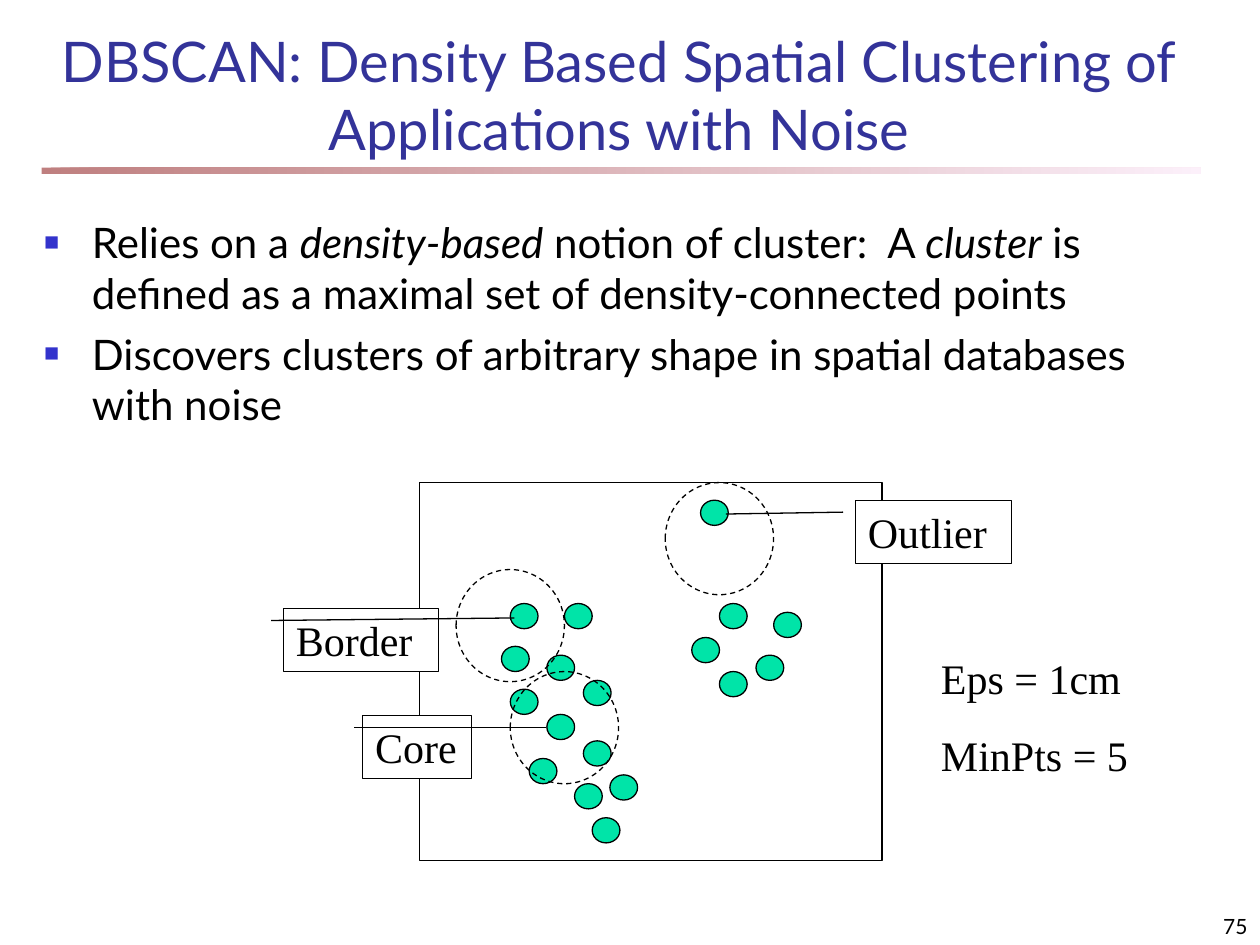
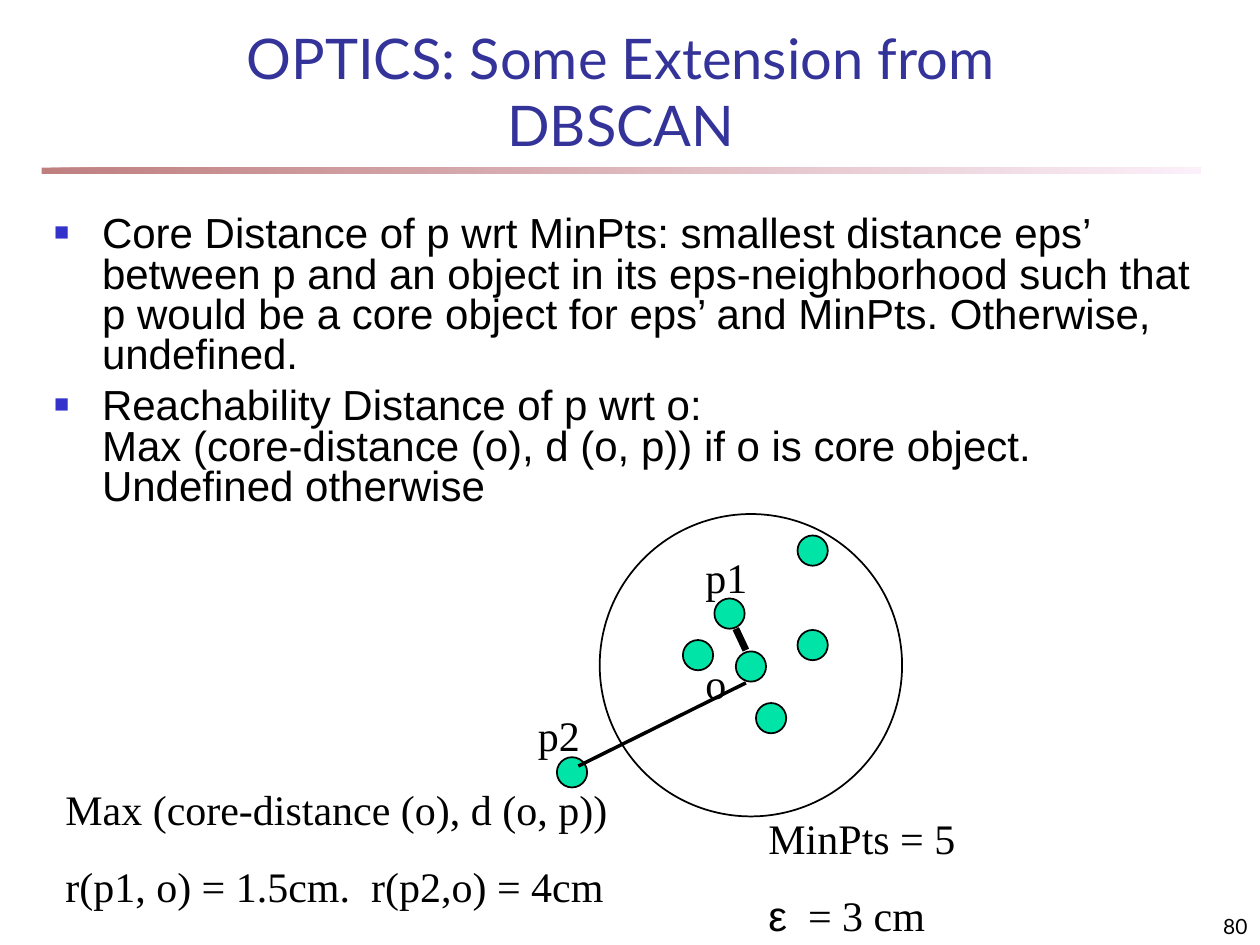
from typing import NamedTuple

from lxml import etree
from pptx import Presentation
from pptx.dml.color import RGBColor
from pptx.enum import dml, shapes, text
from pptx.oxml import ns
from pptx.util import Inches, Pt

BLACK, WHITE = "000000", "FFFFFF"
TITLE_BLUE, BULLET_BLUE = "333399", "3333CC"
POINT_GREEN = "00E4A8"
BAND_START, BAND_END = "800000", "FAE2F6"
LATO, ARIAL, TIMES = "Lato", "Arial", "Times New Roman"


class Box(NamedTuple):
    left: float
    top: float
    width: float
    height: float


class Run(NamedTuple):
    words: str
    italic: bool | None = None
    font: str | None = None


class Callout(NamedTuple):
    label: str
    box: Box
    end_y: float
    end_x: float


class Note(NamedTuple):
    box: Box
    lines: list[list[Run]]


class Segment(NamedTuple):
    start: tuple[float, float]
    end: tuple[float, float]
    width: float


def plain(*lines: str) -> list[list[Run]]:
    return [[Run(line)] for line in lines]


BAND = Box(0.33, 1.33, 9.2, 0.05)
PAGE_NUMBER = Box(7.92, 7.08, 2.08, 0.42)

DBSCAN_BULLETS = [
    [
        Run("Relies on a "),
        Run("density-based", italic=True),
        Run(" notion of cluster:  A "),
        Run("cluster", italic=True),
        Run(" is defined as a maximal set of density-connected points"),
    ],
    [Run("Discovers clusters of arbitrary shape in spatial databases with noise")],
]
DATA_SPACE = Box(3.33, 3.83, 3.67, 3)
LEFT_CLUSTER = [
    (4.05, 4.79), (3.98, 5.13), (4.34, 5.2), (4.48, 4.79), (4.63, 5.4), (4.05, 5.47),
    (4.34, 5.67), (4.2, 6.02), (4.56, 6.22), (4.7, 6.49), (4.63, 5.88), (4.84, 6.15),
]
RIGHT_CLUSTER = [(5.71, 4.79), (5.49, 5.06), (6, 5.2), (6.14, 4.86), (5.71, 5.33)]
OUTLIER = (5.56, 3.97)
NEIGHBORHOODS = [(3.62, 4.52), (4.05, 5.33), (5.28, 3.83)]
CALLOUTS = [
    Callout("Core", Box(2.88, 5.68, 0.86, 0.5), 0.19, 1.69),
    Callout("Border", Box(2.25, 4.83, 1.23, 0.5), 0.15, 1.49),
    Callout("Outlier", Box(6.79, 3.97, 1.24, 0.5), 0.22, -0.83),
]
DBSCAN_SETTINGS = Note(Box(7.37, 5.13, 1.8, 1.11), plain("Eps = 1cm", "MinPts = 5"))

OPTICS_BULLETS = plain(
    "Core Distance of p wrt MinPts: smallest distance eps’ between p and an object "
    "in its eps-neighborhood such that p would be a core object for eps’ and MinPts. "
    "Otherwise, undefined.",
    "Reachability Distance of p wrt o:\vMax (core-distance (o), d (o, p)) "
    "if o is core object. Undefined otherwise",
)
EPS_CIRCLE = Box(4.76, 4.08, 2.4, 2.4)
OPTICS_POINTS = [
    (5.67, 4.75), (5.42, 5.08), (5.84, 5.17), (6, 5.58),
    (6.33, 5), (6.33, 4.25), (4.42, 6.01),
]
OPTICS_NOTES = [
    Note(Box(4.17, 5.58, 0.58, 0.5), plain("p2")),
    Note(Box(5.5, 5.17, 0.58, 0.5), plain("o")),
    Note(Box(5.5, 4.33, 0.58, 0.5), plain("p1")),
    Note(
        Box(6, 6.4, 1.92, 1.11),
        [[Run("MinPts = 5")], [Run("ε", font=ARIAL), Run("  = 3 cm", font=TIMES)]],
    ),
    Note(
        Box(0.42, 6.17, 4.75, 1.11),
        plain("Max (core-distance (o), d (o, p))", "r(p1, o) = 1.5cm.  r(p2,o) = 4cm"),
    ),
]
DISTANCES = [
    Segment((5.84, 4.99), (5.92, 5.16), 4),
    Segment((5.92, 5.42), (4.59, 6.08), 2),
]


def rgb(color: str) -> RGBColor:
    return RGBColor.from_string(color)


def emu(box: Box) -> list[int]:
    return [Inches(length) for length in box]


def place(shape, box: Box) -> None:
    shape.left, shape.top, shape.width, shape.height = emu(box)


def style(paragraph, font: str, size: float, color: str = BLACK) -> None:
    paragraph.font.name = font
    paragraph.font.size = Pt(size)
    paragraph.font.color.rgb = rgb(color)


def prepare(frame, anchor=text.MSO_ANCHOR.TOP) -> None:
    """Wrap the text at its given size inside the box."""
    frame.word_wrap = True
    frame.auto_size = text.MSO_AUTO_SIZE.NONE
    frame.vertical_anchor = anchor


def add_bullet(paragraph) -> None:
    properties = paragraph._p.get_or_add_pPr()
    properties.set("marL", str(Inches(0.38)))
    properties.set("indent", str(-Inches(0.38)))
    color = etree.SubElement(properties, ns.qn("a:buClr"))
    etree.SubElement(color, ns.qn("a:srgbClr"), val=BULLET_BLUE)
    etree.SubElement(properties, ns.qn("a:buSzPct"), val="60000")
    etree.SubElement(properties, ns.qn("a:buFont"), typeface=ARIAL)
    etree.SubElement(properties, ns.qn("a:buChar"), char="■")


def write(frame, lines: list[list[Run]], font: str, gap: float,
          bulleted: bool = False, spacing: float | None = None) -> None:
    for index, runs in enumerate(lines):
        paragraph = frame.add_paragraph() if index else frame.paragraphs[0]
        if bulleted:
            add_bullet(paragraph)
        paragraph.space_before = Pt(gap if index else 0)
        if spacing:
            paragraph.line_spacing = spacing
        style(paragraph, font, 24)
        for part in runs:
            for piece, words in enumerate(part.words.split("\v")):
                if piece:
                    paragraph.add_line_break()
                run = paragraph.add_run()
                run.text = words
                run.font.italic = part.italic
                if part.font:
                    run.font.name = part.font


def add_outline(slide, kind, box: Box, fill: str | None = None,
                width: float = 0.75, dashed: bool = False):
    shape = slide.shapes.add_shape(kind, *emu(box))
    shape.shadow.inherit = False
    if fill:
        shape.fill.solid()
        shape.fill.fore_color.rgb = rgb(fill)
    else:
        shape.fill.background()
    shape.line.color.rgb = rgb(BLACK)
    shape.line.width = Pt(width)
    if dashed:
        shape.line.dash_style = dml.MSO_LINE.DASH
    return shape


def add_points(slide, corners: list[tuple[float, float]],
               width: float, height: float, line: float) -> None:
    for left, top in corners:
        add_outline(slide, shapes.MSO_SHAPE.OVAL, Box(left, top, width, height),
                    POINT_GREEN, line)


def add_callout(slide, callout: Callout) -> None:
    shape = add_outline(slide, shapes.MSO_SHAPE.LINE_CALLOUT_1, callout.box, WHITE)
    for index, value in enumerate((0.19, -0.08, callout.end_y, callout.end_x)):
        shape.adjustments[index] = value
    prepare(shape.text_frame)
    write(shape.text_frame, plain(callout.label), TIMES, 0)
    shape.text_frame.paragraphs[0].alignment = text.PP_ALIGN.LEFT


def add_note(slide, note: Note) -> None:
    frame = slide.shapes.add_textbox(*emu(note.box)).text_frame
    prepare(frame)
    write(frame, note.lines, TIMES, 15)


def add_segment(slide, segment: Segment) -> None:
    ends = [Inches(value) for value in segment.start + segment.end]
    line = slide.shapes.add_connector(shapes.MSO_CONNECTOR.STRAIGHT, *ends)
    line.line.color.rgb = rgb(BLACK)
    line.line.width = Pt(segment.width)
    etree.SubElement(line._element.spPr, ns.qn("a:effectLst"))


def add_band(slide) -> None:
    band = slide.shapes.add_shape(shapes.MSO_SHAPE.RECTANGLE, *emu(BAND))
    band.shadow.inherit = False
    band.line.fill.background()
    band.fill.gradient()
    band.fill.gradient_angle = 0
    for stop, color in zip(band.fill.gradient_stops, (BAND_START, BAND_END)):
        stop.color.rgb = rgb(color)
    for color in band._element.spPr.iter(ns.qn("a:srgbClr")):
        etree.SubElement(color, ns.qn("a:alpha"), val="50000")


def add_slide(deck, heading: str, title_box: Box, title_anchor, page: str):
    """Add a slide with the shared band, title and page number."""
    slide = deck.slides.add_slide(deck.slide_layouts[1])
    add_band(slide)

    title = slide.shapes.title
    place(title, title_box)
    prepare(title.text_frame, title_anchor)
    title.text_frame.text = heading
    title.text_frame.paragraphs[0].alignment = text.PP_ALIGN.CENTER
    style(title.text_frame.paragraphs[0], LATO, 32, TITLE_BLUE)

    number = slide.shapes.add_textbox(*emu(PAGE_NUMBER)).text_frame
    prepare(number, text.MSO_ANCHOR.BOTTOM)
    number.text = page
    number.paragraphs[0].alignment = text.PP_ALIGN.RIGHT
    style(number.paragraphs[0], LATO, 12)
    return slide


def fill_body(slide, box: Box, lines: list[list[Run]], font: str,
              spacing: float | None = None) -> None:
    body = slide.placeholders[1]
    place(body, box)
    prepare(body.text_frame)
    write(body.text_frame, lines, font, 6, bulleted=True, spacing=spacing)


def build_dbscan(deck) -> None:
    slide = add_slide(
        deck, "DBSCAN: Density Based Spatial Clustering of Applications with Noise",
        Box(0.25, 0.25, 9.33, 1.08), text.MSO_ANCHOR.BOTTOM, "75")
    fill_body(slide, Box(0.25, 1.67, 9.33, 5.5), DBSCAN_BULLETS, LATO)
    add_points(slide, LEFT_CLUSTER + RIGHT_CLUSTER + [OUTLIER], 0.22, 0.2, 0.75)
    add_outline(slide, shapes.MSO_SHAPE.RECTANGLE, DATA_SPACE)
    for left, top in NEIGHBORHOODS:
        add_outline(slide, shapes.MSO_SHAPE.OVAL, Box(left, top, 0.86, 0.89), dashed=True)
    for callout in CALLOUTS:
        add_callout(slide, callout)
    add_note(slide, DBSCAN_SETTINGS)


def build_optics(deck) -> None:
    slide = add_slide(deck, "OPTICS: Some Extension from DBSCAN",
                      Box(0.98, 0.48, 7.9, 0.48), text.MSO_ANCHOR.MIDDLE, "80")
    fill_body(slide, Box(0.33, 1.67, 9.33, 5.67), OPTICS_BULLETS, ARIAL, spacing=0.8)
    add_outline(slide, shapes.MSO_SHAPE.OVAL, EPS_CIRCLE, width=1)
    add_points(slide, OPTICS_POINTS, 0.24, 0.24, 1)
    for note in OPTICS_NOTES:
        add_note(slide, note)
    for distance in DISTANCES:
        add_segment(slide, distance)


def main() -> None:
    deck = Presentation()
    deck.slide_width, deck.slide_height = Inches(10), Inches(7.5)
    build_dbscan(deck)
    build_optics(deck)
    deck.save("out.pptx")


if __name__ == "__main__":
    main()
